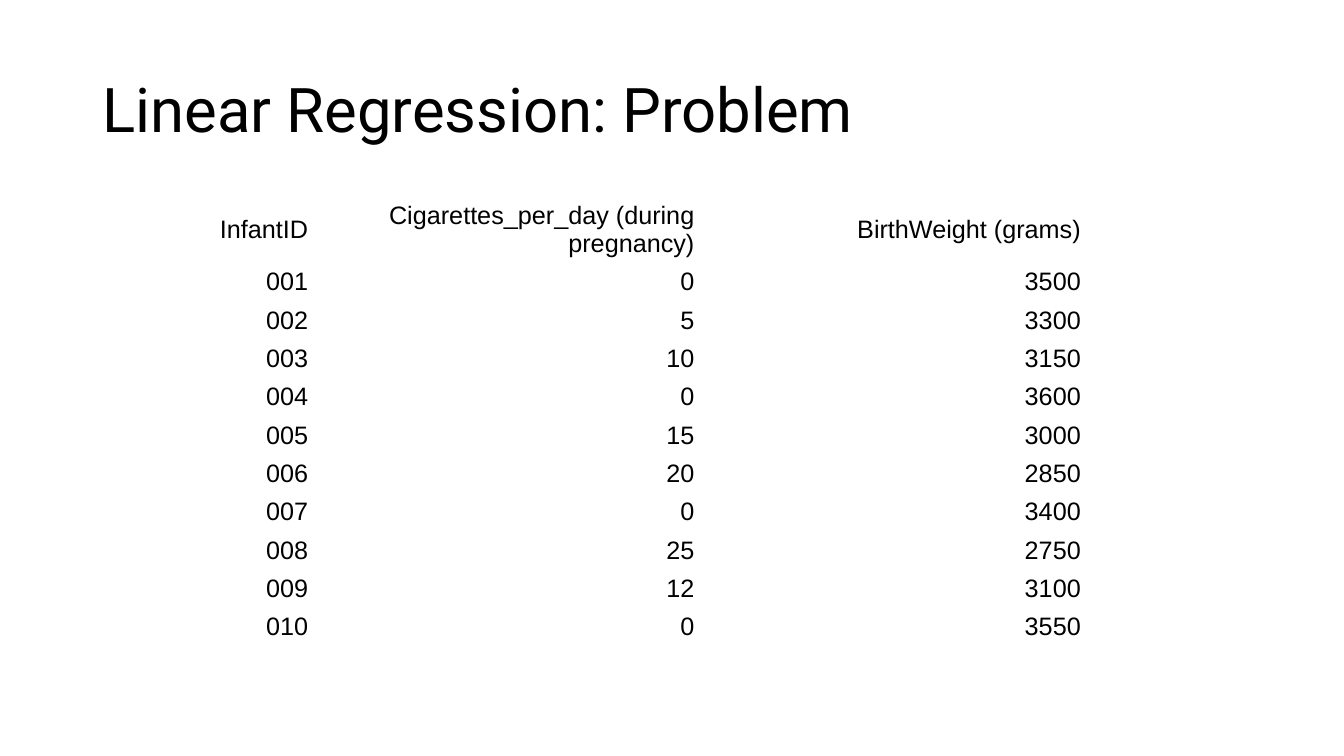
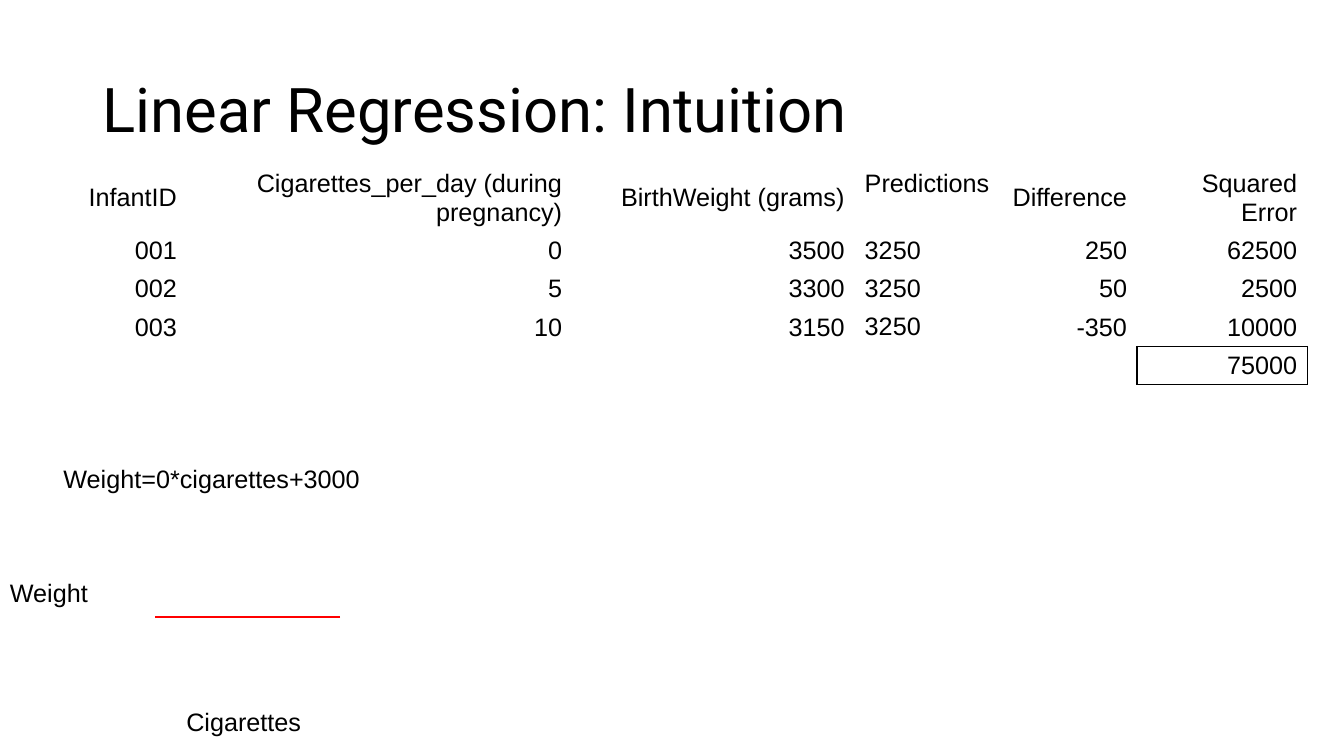
"""Builds two slides that introduce linear regression with infant birth weights."""
import lxml.etree
import pptx
import pptx.dml.color
import pptx.enum.shapes
import pptx.enum.text
import pptx.oxml.ns
import pptx.util

PX = 9525
BLACK = pptx.dml.color.RGBColor(0x00, 0x00, 0x00)
RED = pptx.dml.color.RGBColor(0xFF, 0x00, 0x00)
TITLE_FONT = "Roboto"
BODY_FONT = "Arial"
NO_STYLE_NO_GRID = "{2D5ABB26-0587-4C30-8999-92F81FD0307C}"
HEADER_HEIGHT = 62
ROW_HEIGHT = 36
HEADERS = ["InfantID", "Cigarettes_per_day (during pregnancy)", "BirthWeight (grams)"]
INFANTS = [
    ["001", "0", "3500"],
    ["002", "5", "3300"],
    ["003", "10", "3150"],
    ["004", "0", "3600"],
    ["005", "15", "3000"],
    ["006", "20", "2850"],
    ["007", "0", "3400"],
    ["008", "25", "2750"],
    ["009", "12", "3100"],
    ["010", "0", "3550"],
]
ERROR_HEADERS = ["Predictions", "Difference", "Squared Error"]
ERRORS = [
    ["3250", "250", "62500"],
    ["3250", "50", "2500"],
    ["3250", "-350", "10000"],
]
PREDICTIONS_COLUMN = 3


def px(*lengths):
    """Turn pixel lengths into EMU."""
    return [pptx.util.Emu(length * PX) for length in lengths]


def style_paragraph(paragraph, name, size):
    """Set the font of a whole paragraph."""
    font = paragraph.font
    font.name = name
    font.size = pptx.util.Pt(size)
    font.bold = False
    font.color.rgb = BLACK


def add_titled_slide(presentation, title):
    """Add a slide with a left-aligned title."""
    slide = presentation.slides.add_slide(presentation.slide_layouts[5])
    shape = slide.shapes.title
    shape.left, shape.top, shape.width, shape.height = px(88, 38, 1104, 139)
    frame = shape.text_frame
    frame.text = title
    frame.auto_size = pptx.enum.text.MSO_AUTO_SIZE.NONE
    frame.vertical_anchor = pptx.enum.text.MSO_ANCHOR.MIDDLE
    paragraph = frame.paragraphs[0]
    paragraph.alignment = pptx.enum.text.PP_ALIGN.LEFT
    paragraph.line_spacing = 0.9
    style_paragraph(paragraph, TITLE_FONT, 44)
    return slide


def fill_cell(cell, text, left_aligned):
    """Write one plain table cell."""
    cell.text = text
    cell.fill.background()
    paragraph = cell.text_frame.paragraphs[0]
    if left_aligned:
        cell.vertical_anchor = pptx.enum.text.MSO_ANCHOR.TOP
        paragraph.alignment = pptx.enum.text.PP_ALIGN.LEFT
    else:
        cell.vertical_anchor = pptx.enum.text.MSO_ANCHOR.MIDDLE
        paragraph.alignment = pptx.enum.text.PP_ALIGN.RIGHT
    style_paragraph(paragraph, BODY_FONT, 18)


def add_data_table(slide, left, top, widths, rows):
    """Add an unstyled table whose first row holds the headers."""
    heights = [HEADER_HEIGHT] + [ROW_HEIGHT] * (len(rows) - 1)
    frame = slide.shapes.add_table(
        len(rows), len(widths), *px(left, top, sum(widths), sum(heights)))
    table = frame.table
    table.first_row = False
    table.horz_banding = False
    properties = frame._element.graphic.graphicData.tbl.tblPr
    properties.find(pptx.oxml.ns.qn("a:tableStyleId")).text = NO_STYLE_NO_GRID
    for column, width in zip(table.columns, px(*widths)):
        column.width = width
    for row, height in zip(table.rows, px(*heights)):
        row.height = height
    for row, texts in zip(table.rows, rows):
        for index, (cell, text) in enumerate(zip(row.cells, texts)):
            fill_cell(cell, text, index == PREDICTIONS_COLUMN)
    return table


def outline_cell(cell):
    """Draw a thin black border around a table cell."""
    qn = pptx.oxml.ns.qn
    properties = cell._tc.get_or_add_tcPr()
    for index, side in enumerate(("a:lnL", "a:lnR", "a:lnT", "a:lnB")):
        line = lxml.etree.Element(qn(side), w=str(pptx.util.Pt(1)))
        fill = lxml.etree.SubElement(line, qn("a:solidFill"))
        lxml.etree.SubElement(fill, qn("a:srgbClr"), val=str(BLACK))
        properties.insert(index, line)


def add_label(slide, text, left, top, width):
    """Add a one-line text box."""
    frame = slide.shapes.add_textbox(*px(left, top, width, 38)).text_frame
    frame.word_wrap = True
    frame.text = text
    style_paragraph(frame.paragraphs[0], BODY_FONT, 18)


def add_line(slide, start_x, start_y, end_x, end_y):
    """Add a red straight line without a shadow."""
    connector = slide.shapes.add_connector(
        pptx.enum.shapes.MSO_CONNECTOR.STRAIGHT, *px(start_x, start_y, end_x, end_y))
    connector.line.color.rgb = RED
    connector.line.width = pptx.util.Pt(1.5)
    lxml.etree.SubElement(connector._element.spPr, pptx.oxml.ns.qn("a:effectLst"))


def add_problem_slide(presentation):
    """Show the full data set."""
    slide = add_titled_slide(presentation, "Linear Regression: Problem")
    add_data_table(slide, -65, 187, [368] * 3, [HEADERS] + INFANTS)


def add_intuition_slide(presentation):
    """Show the squared error of a constant prediction."""
    slide = add_titled_slide(presentation, "Linear Regression: Intuition")
    rows = [HEADERS + ERROR_HEADERS]
    rows += [infant + errors for infant, errors in zip(INFANTS, ERRORS)]
    rows.append([""] * 5 + ["75000"])
    table = add_data_table(slide, 0, 157, [178, 367, 269, 140, 129, 162], rows)
    outline_cell(table.cell(len(rows) - 1, 5))
    add_line(slide, 324, 588, 148, 588)
    add_label(slide, "Cigarettes", 168, 668, 187)
    add_label(slide, "Weight", 0, 545, 187)
    add_label(slide, "Weight=0*cigarettes+3000", 51, 437, 397)


def main():
    """Build and save the presentation."""
    presentation = pptx.Presentation()
    presentation.slide_width, presentation.slide_height = px(1280, 720)
    add_problem_slide(presentation)
    add_intuition_slide(presentation)
    presentation.save("out.pptx")


if __name__ == "__main__":
    main()
